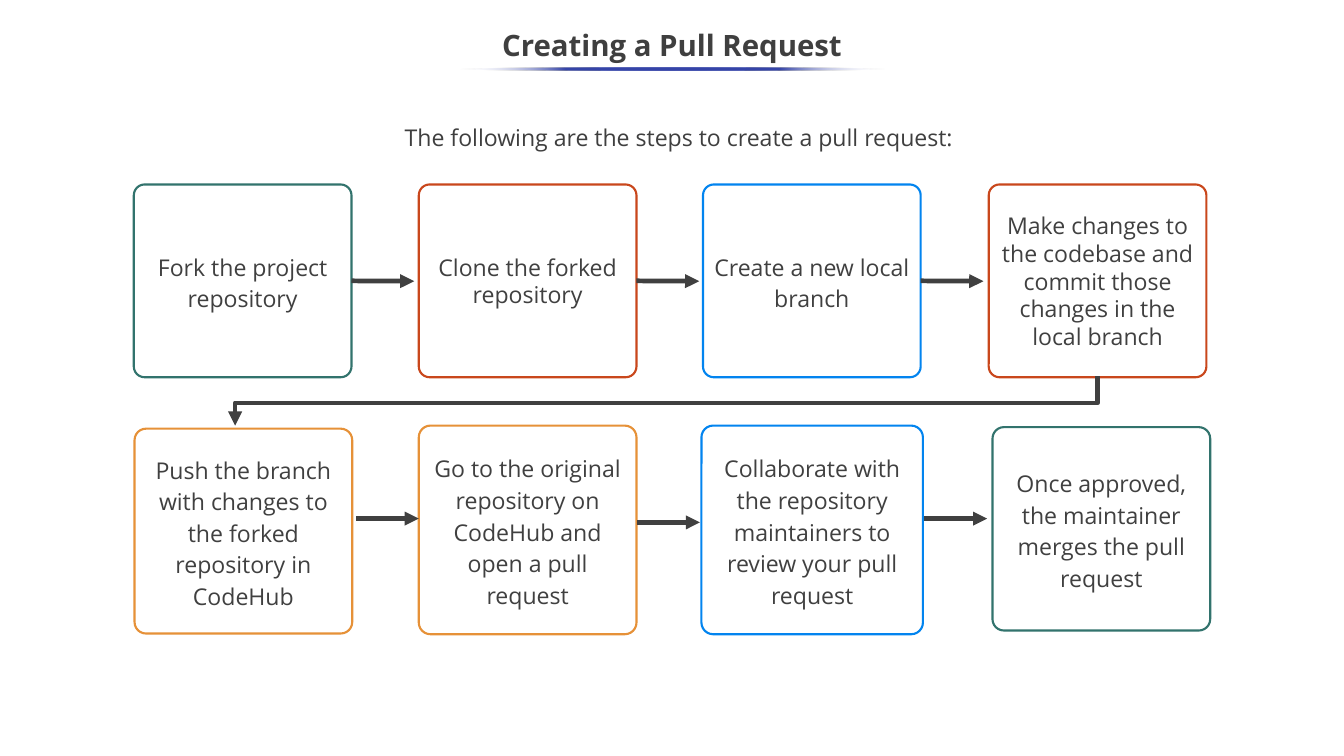
from lxml import etree
from pptx import Presentation
from pptx import util as u
from pptx.dml.color import RGBColor
from pptx.enum import dml, shapes, text
from pptx.oxml import parse_xml
from pptx.oxml.ns import nsdecls, qn

COLORS = {
    "title": "3F3F3F", "ink": "404040", "paper": "FFFFFF", "rule": "3645A9",
    "teal": "32736D", "red": "C9471C", "blue": "0284EF", "orange": "E69138",
}
FONT = "Open Sans"
STEP_WIDTH = 2.88
FORK_ROW = [
    ("Fork the project repository", "teal", (1.77, 2.44, STEP_WIDTH, 2.55), 1.14),
    ("Clone the forked repository", "red", (5.54, 2.44, STEP_WIDTH, 2.55), 1),
    ("Create a new local branch", "blue", (9.3, 2.44, STEP_WIDTH, 2.55), 1.14),
    ("Make changes to the codebase and commit those changes in the local branch",
     "red", (13.08, 2.44, STEP_WIDTH, 2.55), 1),
]
REVIEW_ROW = [
    ("Push the branch with changes to the forked repository in CodeHub",
     "orange", (1.78, 5.67, STEP_WIDTH, 2.71), 1.14),
    ("Go to the original repository on CodeHub and open a pull request",
     "orange", (5.54, 5.63, STEP_WIDTH, 2.76), 1.14),
    ("Collaborate with the repository maintainers to review your pull request",
     "blue", (9.28, 5.63, 2.93, 2.76), 1.14),
    ("Once approved, the maintainer merges the pull request",
     "teal", (13.13, 5.65, STEP_WIDTH, 2.69), 1.14),
]
ARROW_LENGTH = 0.83
FORK_ARROWS = [(4.65, 3.72), (8.42, 3.72), (12.18, 3.72)]
REVIEW_ARROWS = [(4.71, 6.86), (8.43, 6.91), (12.23, 6.86)]


def inches(values):
    """Convert a sequence of numbers to lengths."""
    return [u.Inches(value) for value in values]


def rgb(name):
    """Return a palette colour."""
    return RGBColor.from_string(COLORS[name])


def apply(target, values):
    """Set every attribute named in a dict of format values."""
    for name, value in values.items():
        setattr(target, name, value)


def write(frame, wording, color, size, spacing=1, bold=False, inset=0.05,
          anchor=text.MSO_ANCHOR.MIDDLE):
    """Put one centred paragraph in a text frame."""
    apply(frame, {
        "text": wording, "word_wrap": True, "vertical_anchor": anchor,
        "margin_left": u.Inches(0.1), "margin_right": u.Inches(0.1),
        "margin_top": u.Inches(inset), "margin_bottom": u.Inches(inset),
    })
    paragraph = frame.paragraphs[0]
    apply(paragraph, {"alignment": text.PP_ALIGN.CENTER, "line_spacing": spacing})
    font = paragraph.runs[0].font
    apply(font, {"name": FONT, "size": u.Pt(size), "bold": bold})
    font.color.rgb = rgb(color)
    return paragraph


def add_heading(slide, box):
    """Place the slide title."""
    title = slide.shapes.title
    apply(title, dict(zip(("left", "top", "width", "height"), inches(box))))
    write(title.text_frame, "Creating a Pull Request", "title", 28, 0.9, True)
    title.text_frame.auto_size = text.MSO_AUTO_SIZE.NONE


def add_intro(slide, box):
    """Place the sentence above the steps."""
    intro = slide.shapes.add_textbox(*inches(box))
    paragraph = write(intro.text_frame, "The following are the steps to create a pull request:",
                      "title", 22, anchor=text.MSO_ANCHOR.TOP)
    properties = paragraph._p.get_or_add_pPr()
    properties.set("marL", str(u.Inches(0.5)))
    properties.set("indent", str(u.Inches(-0.25)))


def add_title_rule(slide, box):
    """Place the thin rule that fades out at both ends."""
    rule = slide.shapes.add_shape(shapes.MSO_SHAPE.OVAL, *inches(box))
    rule.shadow.inherit = False
    rule.line.fill.background()
    rule.fill.gradient()
    rule.fill.gradient_angle = 0
    stops = rule._element.spPr.find(qn("a:gradFill")).find(qn("a:gsLst"))
    for stop in list(stops):
        stops.remove(stop)
    for percent, name, alpha in ((0, "paper", 0), (25, "rule", 100), (50, "rule", 100),
                                 (75, "rule", 100), (100, "paper", 0)):
        stops.append(parse_xml(
            f'<a:gs {nsdecls("a")} pos="{percent * 1000}"><a:srgbClr val="{COLORS[name]}">'
            f'<a:alpha val="{alpha * 1000}"/></a:srgbClr></a:gs>'))


def add_step(slide, wording, color, box, spacing):
    """Place one rounded step box."""
    step = slide.shapes.add_shape(shapes.MSO_SHAPE.ROUNDED_RECTANGLE, *inches(box))
    step.adjustments[0] = 0.056
    step.shadow.inherit = False
    step.fill.solid()
    step.fill.fore_color.rgb = rgb("paper")
    step.line.color.rgb = rgb(color)
    step.line.width = u.Pt(2)
    write(step.text_frame, wording, "ink", 22, spacing, inset=0.1)
    return step


def style_arrow(arrow):
    """Give a line its colour, weight and arrowhead."""
    arrow.line.color.rgb = rgb("ink")
    apply(arrow.line, {"width": u.Pt(4.5), "dash_style": dml.MSO_LINE.SOLID})
    etree.SubElement(arrow.line._get_or_add_ln(), qn("a:tailEnd"), type="triangle")


def add_arrow(slide, left, top):
    """Place one arrow pointing right."""
    arrow = slide.shapes.add_connector(
        shapes.MSO_CONNECTOR.STRAIGHT, *inches((left, top, left + ARROW_LENGTH, top)))
    style_arrow(arrow)
    etree.SubElement(arrow._element.spPr, qn("a:effectLst"))
    return arrow


def add_row(slide, steps, arrows, joined):
    """Place a row of steps and the arrows between them."""
    boxes = [add_step(slide, *step) for step in steps]
    for box, start in zip(boxes, arrows):
        arrow = add_arrow(slide, *start)
        if joined:
            arrow.begin_connect(box, 3)


def add_row_turn(slide, box):
    """Place the bent arrow from the end of one row to the start of the next."""
    left, top, width, height = box
    right, bend, bottom = left + width, top + 0.35, top + height
    outline = slide.shapes.build_freeform(*inches((right, top)))
    outline.add_line_segments(
        [inches(point) for point in ((right, bend), (left, bend), (left, bottom))], close=False)
    turn = outline.convert_to_shape()
    turn.shadow.inherit = False
    turn.fill.background()
    style_arrow(turn)


def main():
    """Build and save the slide."""
    deck = Presentation()
    apply(deck, {"slide_width": u.Inches(17.78), "slide_height": u.Inches(10)})
    slide = deck.slides.add_slide(deck.slide_layouts[5])
    add_heading(slide, (0, 0.25, 17.78, 0.75))
    add_title_rule(slide, (6.08, 0.89, 5.63, 0.04))
    add_intro(slide, (3.17, 1.58, 11.37, 0.47))
    add_row(slide, FORK_ROW, FORK_ARROWS, joined=True)
    add_row(slide, REVIEW_ROW, REVIEW_ARROWS, joined=False)
    add_row_turn(slide, (3.11, 4.98, 11.41, 0.65))
    deck.save("out.pptx")


if __name__ == "__main__":
    main()
